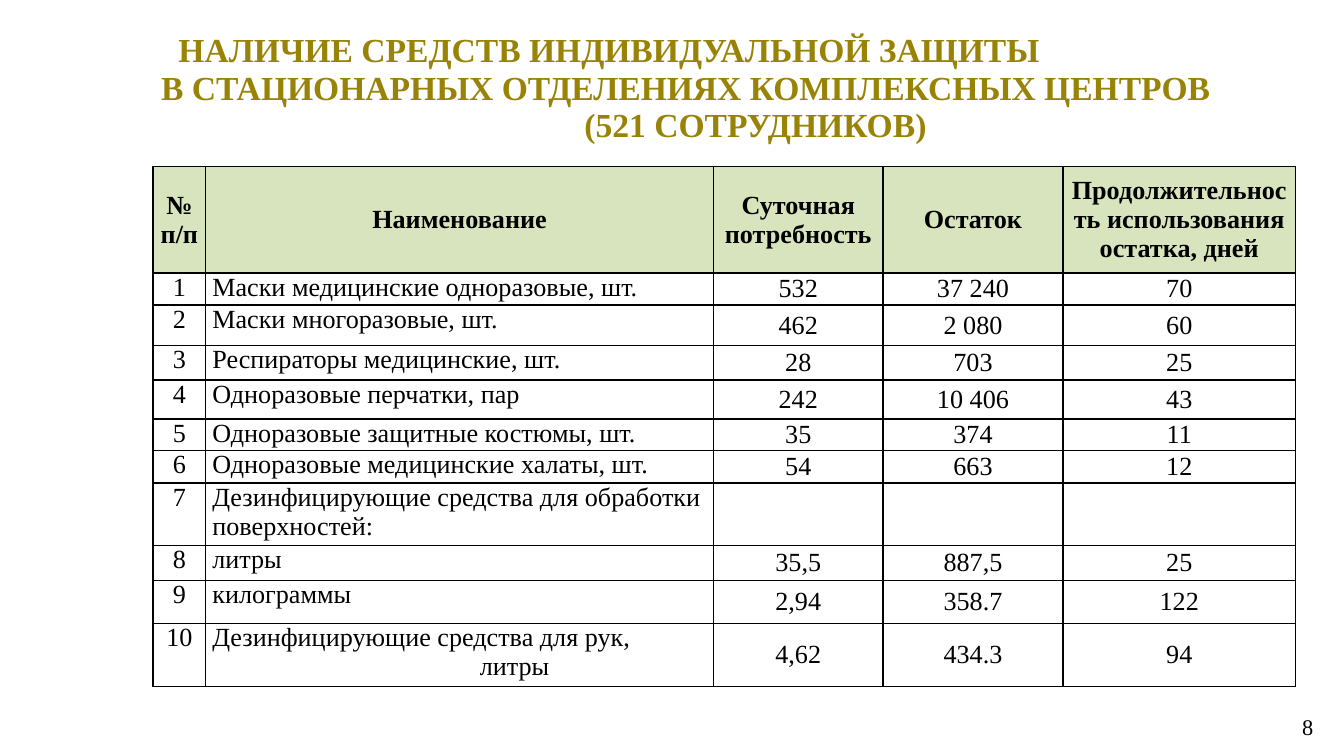
"""Build a slide with a table of protective equipment stocks."""
from dataclasses import dataclass
from typing import Any

import lxml.etree
import pptx
import pptx.dml.color
import pptx.enum.text
import pptx.oxml.ns
import pptx.util

Inches = pptx.util.Inches
Pt = pptx.util.Pt
Align = pptx.enum.text.PP_ALIGN
Anchor = pptx.enum.text.MSO_ANCHOR


@dataclass(frozen=True)
class Theme:
    font: str = "Times New Roman"
    title_color: str = "998307"
    text_color: str = "000000"
    header_fill: str = "D7E4BD"
    border_color: str = "000000"
    border_width: float = 1
    title_size: float = 18
    table_size: float = 14
    number_size: float = 12


@dataclass(frozen=True)
class Line:
    text: str
    indent: float = 0


@dataclass(frozen=True)
class TextStyle:
    size: float
    color: str
    bold: bool = False
    align: Any = Align.LEFT
    spacing: Any = 1.0


@dataclass(frozen=True)
class Supply:
    names: tuple[Line, ...]
    daily: str = ""
    stock: str = ""
    days: str = ""
    height: float = 0.24


THEME = Theme()
SLIDE_WIDTH = 10
SLIDE_HEIGHT = SLIDE_WIDTH * 9 / 16
TITLE = (
    Line("НАЛИЧИЕ СРЕДСТВ ИНДИВИДУАЛЬНОЙ ЗАЩИТЫ", 0.16),
    Line("В СТАЦИОНАРНЫХ ОТДЕЛЕНИЯХ КОМПЛЕКСНЫХ ЦЕНТРОВ", 0.03),
    Line("(521 СОТРУДНИКОВ)", 3.18),
)
HEADERS = (
    "№ п/п", "Наименование", "Суточная потребность", "Остаток",
    "Продолжительность использования остатка, дней",
)
COLUMN_WIDTHS = (0.39, 3.78, 1.26, 1.34, 1.73)
HEADER_HEIGHT = 0.79
SUPPLIES = (
    Supply((Line("Маски медицинские одноразовые, шт."),), "532", "37 240", "70"),
    Supply((Line("Маски многоразовые, шт."),), "462", "2 080", "60", 0.3),
    Supply((Line("Респираторы медицинские, шт."),), "28", "703", "25", 0.26),
    Supply((Line("Одноразовые перчатки, пар"),), "242", "10 406", "43", 0.29),
    Supply((Line("Одноразовые защитные костюмы, шт."),), "35", "374", "11", 0.23),
    Supply((Line("Одноразовые медицинские халаты, шт."),), "54", "663", "12"),
    Supply((Line("Дезинфицирующие средства для обработки поверхностей:"),), height=0.46),
    Supply((Line("литры"),), "35,5", "887,5", "25", 0.26),
    Supply((Line("килограммы"),), "2,94", "358.7", "122", 0.32),
    Supply((Line("Дезинфицирующие средства для рук,"), Line("литры", 1.99)),
           "4,62", "434.3", "94", 0.46),
)


def apply_format(target: Any, values: dict[str, Any]) -> None:
    """Set every named attribute on the target."""
    for name, value in values.items():
        setattr(target, name, value)


def write_lines(frame: Any, lines: tuple[Line, ...], style: TextStyle) -> None:
    """Write one styled paragraph for each line."""
    for index, line in enumerate(lines):
        paragraph = frame.add_paragraph() if index else frame.paragraphs[0]
        apply_format(paragraph, {"alignment": style.align, "line_spacing": style.spacing})
        if line.indent:
            paragraph._p.get_or_add_pPr().set("marL", str(Inches(line.indent)))
        font = paragraph.font
        if line.text:
            run = paragraph.add_run()
            run.text = line.text
            font = run.font
        apply_format(font, {"name": THEME.font, "size": Pt(style.size), "bold": style.bold})
        font.color.rgb = pptx.dml.color.RGBColor.from_string(style.color)


def add_text(slide: Any, box: tuple[float, float, float, float], lines: tuple[Line, ...],
             style: TextStyle, anchor: Any) -> None:
    """Add a wrapped text box."""
    frame = slide.shapes.add_textbox(*map(Inches, box)).text_frame
    apply_format(frame, {"word_wrap": True, "vertical_anchor": anchor})
    write_lines(frame, lines, style)


def add_borders(cell: Any) -> None:
    """Draw a solid line on all four sides of a cell."""
    properties = cell._tc.get_or_add_tcPr()
    qualify = pptx.oxml.ns.qn
    for side in ("L", "R", "T", "B"):
        border = lxml.etree.SubElement(
            properties, qualify(f"a:ln{side}"), w=str(Pt(THEME.border_width)))
        fill = lxml.etree.SubElement(border, qualify("a:solidFill"))
        lxml.etree.SubElement(fill, qualify("a:srgbClr"), val=THEME.border_color)


def fill_cell(cell: Any, lines: tuple[Line, ...], align: Any, anchor: Any,
              header: bool = False) -> None:
    """Format a table cell and write its text."""
    apply_format(cell, {
        "margin_left": Inches(0.05), "margin_right": Inches(0.05),
        "margin_top": 0, "margin_bottom": 0, "vertical_anchor": anchor,
    })
    add_borders(cell)
    if header:
        cell.fill.solid()
        cell.fill.fore_color.rgb = pptx.dml.color.RGBColor.from_string(THEME.header_fill)
    else:
        cell.fill.background()
    write_lines(cell.text_frame, lines,
                TextStyle(THEME.table_size, THEME.text_color, header, align))


def add_supply_table(slide: Any) -> None:
    """Add the table with its header and numbered supplies."""
    heights = (HEADER_HEIGHT, *(supply.height for supply in SUPPLIES))
    table = slide.shapes.add_table(
        len(heights), len(COLUMN_WIDTHS), Inches(1.14), Inches(1.24),
        Inches(sum(COLUMN_WIDTHS)), Inches(sum(heights))).table
    apply_format(table, {"first_row": False, "horz_banding": False})
    for column, width in zip(table.columns, COLUMN_WIDTHS):
        column.width = Inches(width)
    for row, height in zip(table.rows, heights):
        row.height = Inches(height)
    for column, text in enumerate(HEADERS):
        fill_cell(table.cell(0, column), (Line(text),), Align.CENTER, Anchor.MIDDLE, True)
    for row, supply in enumerate(SUPPLIES, 1):
        fill_cell(table.cell(row, 0), (Line(str(row)),), Align.CENTER, Anchor.TOP)
        fill_cell(table.cell(row, 1), supply.names, Align.LEFT, Anchor.TOP)
        for column, text in enumerate((supply.daily, supply.stock, supply.days), 2):
            fill_cell(table.cell(row, column), (Line(text),), Align.CENTER, Anchor.MIDDLE)


def main() -> None:
    """Build and save the presentation."""
    presentation = pptx.Presentation()
    apply_format(presentation, {
        "slide_width": Inches(SLIDE_WIDTH), "slide_height": Inches(SLIDE_HEIGHT),
    })
    slide = presentation.slides.add_slide(presentation.slide_layouts[6])
    add_text(slide, (7.54, 5.26, 2.33, 0.3), (Line("8"),),
             TextStyle(THEME.number_size, THEME.text_color, align=Align.RIGHT), Anchor.MIDDLE)
    add_text(slide, (1.07, 0.19, 8.93, 0.99), TITLE,
             TextStyle(THEME.title_size, THEME.title_color, True, spacing=Pt(20)), Anchor.TOP)
    add_supply_table(slide)
    presentation.save("out.pptx")


if __name__ == "__main__":
    main()
